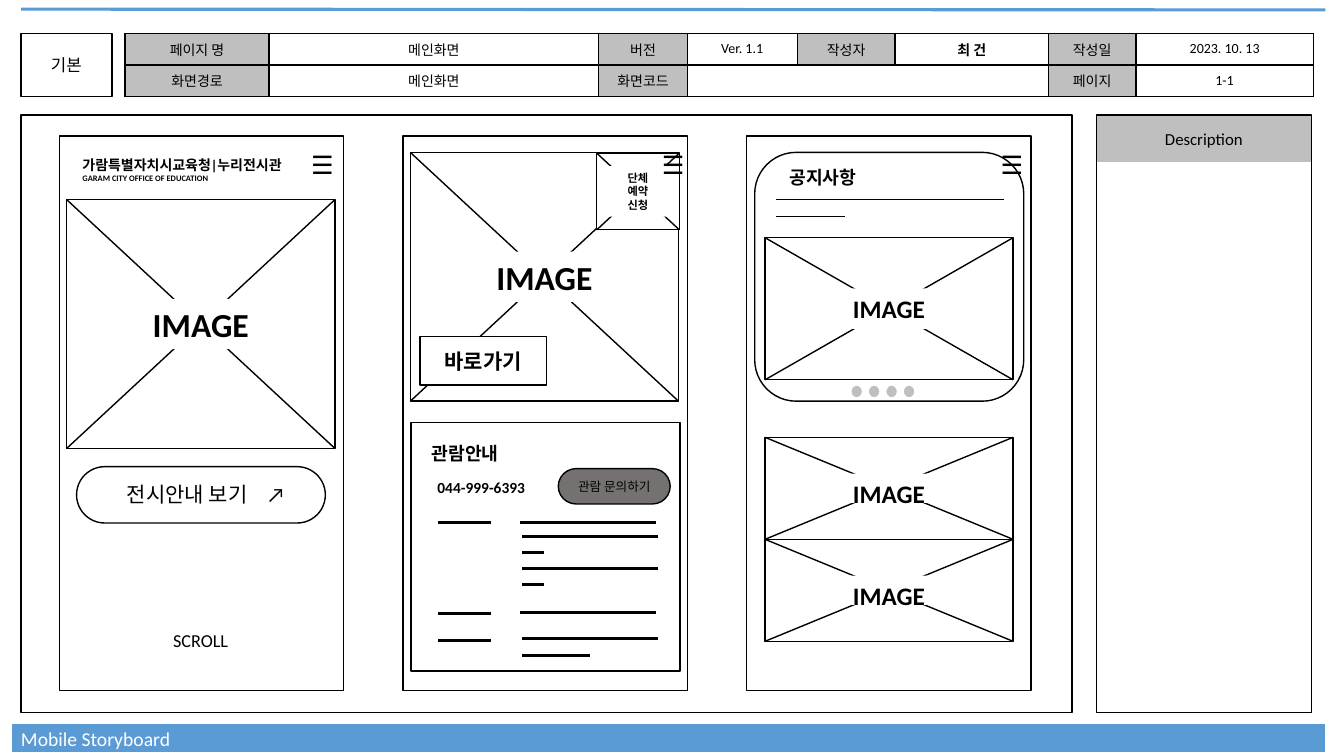
"""Build the mobile storyboard slide for the main screen."""
from itertools import pairwise

from lxml import etree
from pptx import Presentation
from pptx.dml.color import RGBColor
from pptx.enum.shapes import MSO_CONNECTOR, MSO_SHAPE as SHAPE
from pptx.enum.text import MSO_ANCHOR as ANCHOR, PP_ALIGN as ALIGN
from pptx.oxml import parse_xml
from pptx.oxml.ns import qn
from pptx.util import Cm, Pt

FONT = "Calibri"
BLACK, WHITE, GREY, DARK, BLUE = "000000", "FFFFFF", "BFBFBF", "767171", "5B9BD5"
DRAWING_NS = "http://schemas.openxmlformats.org/drawingml/2006/main"

HEADER_TOP, HEADER_ROW = 0.84, 0.8
HEADER_EDGES = [3.15, 6.78, 15.09, 17.32, 20.09, 22.56, 26.42, 28.63, 33.1]
HEADER = [
    ["페이지 명", "메인화면", "버전", "Ver. 1.1", "작성자", "최 건", "작성일", "2023. 10. 13"],
    ["화면경로", "메인화면", "화면코드", "", "", "", "페이지", "1-1"],
]
LABELS = {"페이지 명", "화면경로", "버전", "화면코드", "작성자", "작성일", "페이지"}
AUTHOR = "최 건"

BOARD = (0.53, 2.9, 26.49, 15.06)
KIND = ("기본", 0.53, 0.84, 2.29, 1.6)
DESCRIPTION = ("Description", 27.61, 2.9, 5.46, 1.19)
DESCRIPTION_FRAME = (27.64, 2.9, 5.41, 15.06)
PHONE_LEFT, PHONE_PITCH, PHONE_TOP, PHONE_SIZE = 1.5, 8.66, 3.43, (7.16, 13.97)

NOTICE_CARD = (19.02, 3.84, 6.78, 6.27)
GUIDE_PANEL = (10.36, 10.64, 6.78, 6.27)
IMAGES = [
    (["IMAGE"], 24, (1.68, 5.03, 6.76, 6.27), (3.51, 1.27)),
    (["IMAGE"], 24, (10.34, 3.84, 6.76, 6.27), (3.51, 1.27)),
    (["단체", "예약", "신청"], 8, (15.04, 3.86, 2.08, 1.93), (1.6, 1.27)),
    (["IMAGE"], 18, (19.28, 5.99, 6.25, 3.58), (3.45, 1.02)),
    (["IMAGE"], 18, (19.28, 11.02, 6.25, 2.57), (3.45, 0.74)),
    (["IMAGE"], 18, (19.28, 13.59, 6.25, 2.57), (3.45, 0.74)),
]
SHORTCUT = ("바로가기", 10.59, 8.48, 3.18, 1.22)
EXHIBIT_BUTTON = (1.93, 11.76, 6.27, 1.42)
INQUIRY_BUTTON = ("관람 문의하기", 14.07, 11.81, 2.82, 0.89)
TEXTS = [
    ("전시안내 보기", 15, False, (2.72, 12.02, 4, 0.89)),
    ("↗", 15, False, (6.36, 12.02, 1.2, 0.89)),
    ("SCROLL", 13, False, (1.93, 15.74, 6.25, 0.81)),
    ("관람안내", 13, True, (10.26, 11.02, 2.92, 0.81)),
    ("044-999-6393", 11, True, (10.71, 11.93, 2.84, 0.74)),
    ("공지사항", 13, True, (19.28, 4.06, 2.92, 0.81)),
    ("☰", 18, False, (7.59, 3.64, 0.84, 1.02)),
    ("☰", 18, False, (16.43, 3.64, 0.84, 1.02)),
    ("☰", 18, False, (24.97, 3.64, 0.84, 1.02)),
]
OFFICE = ["가람특별자치시교육청|누리전시관", "GARAM CITY OFFICE OF EDUCATION"]
GUIDE_LINES = [
    (11.05, 1.32, [13.16, 15.47, 16.13]),
    (13.11, 3.43, [13.16, 15.44]),
    (13.16, 3.43, [13.51, 14.33, 16.1]),
    (13.16, 0.56, [13.92, 14.73]),
    (13.16, 1.7, [16.51]),
]
NOTICE_LINES = [(19.56, 5.74, 5.03), (19.56, 1.73, 5.44)]
DOT_COUNT, DOT_LEFT, DOT_PITCH = 4, 21.44, 0.44


def color(hex_code):
    return RGBColor.from_string(hex_code)


def write(frame, lines, sizes, bold=False, ink=BLACK, align=ALIGN.CENTER, anchor=ANCHOR.TOP):
    frame.word_wrap = True
    frame.vertical_anchor = anchor
    for i, (line, size) in enumerate(zip(lines, sizes)):
        paragraph = frame.paragraphs[0] if i == 0 else frame.add_paragraph()
        paragraph.text, paragraph.alignment = line, align
        font = paragraph.font
        font.name, font.size, font.bold = FONT, Pt(size), bold
        font.color.rgb = color(ink)


def add_box(shapes, box, fill=WHITE, line=BLACK, kind=SHAPE.RECTANGLE):
    shape = shapes.add_shape(kind, *map(Cm, box))
    shape.shadow.inherit = False
    if fill:
        shape.fill.solid()
        shape.fill.fore_color.rgb = color(fill)
    else:
        shape.fill.background()
    if line:
        shape.line.color.rgb = color(line)
        shape.line.width = Pt(1)
    else:
        shape.line.fill.background()
    if kind == SHAPE.ROUNDED_RECTANGLE:
        shape.adjustments[0] = 0.5
    return shape


def add_text(shapes, box, lines, sizes, **style):
    write(shapes.add_textbox(*map(Cm, box)).text_frame, lines, sizes, **style)


def add_line(shapes, x1, y1, x2, y2, width=1, ink=BLACK):
    line = shapes.add_connector(MSO_CONNECTOR.STRAIGHT, *map(Cm, (x1, y1, x2, y2)))
    line.line.color.rgb = color(ink)
    line.line.width = Pt(width)
    etree.SubElement(line._element.spPr, qn("a:effectLst"))


def add_image_frame(shapes, lines, size, box, label_size):
    left, top, width, height = box
    add_box(shapes, box)
    add_line(shapes, left, top, left + width, top + height)
    add_line(shapes, left, top + height, left + width, top)
    label_width, label_height = label_size
    label_box = (left + (width - label_width) / 2, top + (height - label_height) / 2, *label_size)
    label = add_box(shapes, label_box, line=None)
    write(label.text_frame, lines, [size] * len(lines), bold=True)


def add_header(shapes):
    left, right = HEADER_EDGES[0], HEADER_EDGES[-1]
    table = shapes.add_table(
        len(HEADER), len(HEADER[0]), Cm(left), Cm(HEADER_TOP),
        Cm(right - left), Cm(HEADER_ROW * len(HEADER))).table
    for column, (start, end) in zip(table.columns, pairwise(HEADER_EDGES)):
        column.width = Cm(end - start)
    for r, row in enumerate(HEADER):
        table.rows[r].height = Cm(HEADER_ROW)
        for c, entry in enumerate(row):
            cell = table.cell(r, c)
            properties = cell._tc.get_or_add_tcPr()
            for side in "LRTB":
                properties.append(parse_xml(
                    f'<a:ln{side} xmlns:a="{DRAWING_NS}" w="{Pt(1)}"><a:solidFill>'
                    f'<a:srgbClr val="{BLACK}"/></a:solidFill></a:ln{side}>'))
            cell.fill.solid()
            cell.fill.fore_color.rgb = color(GREY if entry in LABELS else WHITE)
            cell.margin_top = cell.margin_bottom = 0
            write(cell.text_frame, [entry], [10], bold=entry == AUTHOR)
            cell.vertical_anchor = ANCHOR.MIDDLE
    table.cell(1, 3).merge(table.cell(1, 5))


def main():
    deck = Presentation()
    deck.slide_width, deck.slide_height = Cm(33.87), Cm(19.05)
    shapes = deck.slides.add_slide(deck.slide_layouts[6]).shapes

    add_box(shapes, BOARD)
    add_line(shapes, 0.53, 0.23, 33.4, 0.25, 2.25, BLUE)
    add_line(shapes, 0.3, 18.59, 33.4, 18.59, 20, BLUE)
    add_text(shapes, (0.28, 18.19, 6.63, 0.86), ["Mobile Storyboard"], [14],
             ink=WHITE, align=ALIGN.LEFT)
    add_header(shapes)
    for (title, *box), fill, line in [(KIND, WHITE, BLACK), (DESCRIPTION, GREY, WHITE)]:
        write(add_box(shapes, box, fill, line).text_frame, [title], [12], anchor=ANCHOR.MIDDLE)
    add_box(shapes, DESCRIPTION_FRAME, fill=None)

    for i in range(3):
        add_box(shapes, (PHONE_LEFT + i * PHONE_PITCH, PHONE_TOP, *PHONE_SIZE))
    add_box(shapes, NOTICE_CARD, kind=SHAPE.FLOWCHART_ALTERNATE_PROCESS)
    add_box(shapes, GUIDE_PANEL, fill=None)
    for image in IMAGES:
        add_image_frame(shapes, *image)

    add_box(shapes, EXHIBIT_BUTTON, fill=None, kind=SHAPE.ROUNDED_RECTANGLE)
    caption, *box = SHORTCUT
    write(add_box(shapes, box).text_frame, [caption], [15], bold=True, anchor=ANCHOR.MIDDLE)
    caption, *box = INQUIRY_BUTTON
    inquiry = add_box(shapes, box, DARK, kind=SHAPE.ROUNDED_RECTANGLE)
    write(inquiry.text_frame, [caption], [9], anchor=ANCHOR.MIDDLE)

    add_text(shapes, (1.83, 3.81, 6.4, 0.94), OFFICE, [10, 6], bold=True, align=ALIGN.LEFT)
    for caption, size, bold, box in TEXTS:
        add_text(shapes, box, [caption], [size], bold=bold)
    for left, length, tops in GUIDE_LINES:
        for top in tops:
            add_line(shapes, left, top, left + length, top, 2.25)
    for left, length, top in NOTICE_LINES:
        add_line(shapes, left, top, left + length, top, 0.5)
    for i in range(DOT_COUNT):
        add_box(shapes, (DOT_LEFT + i * DOT_PITCH, 9.7, 0.3, 0.33), GREY, WHITE, SHAPE.OVAL)

    deck.save("out.pptx")


if __name__ == "__main__":
    main()
